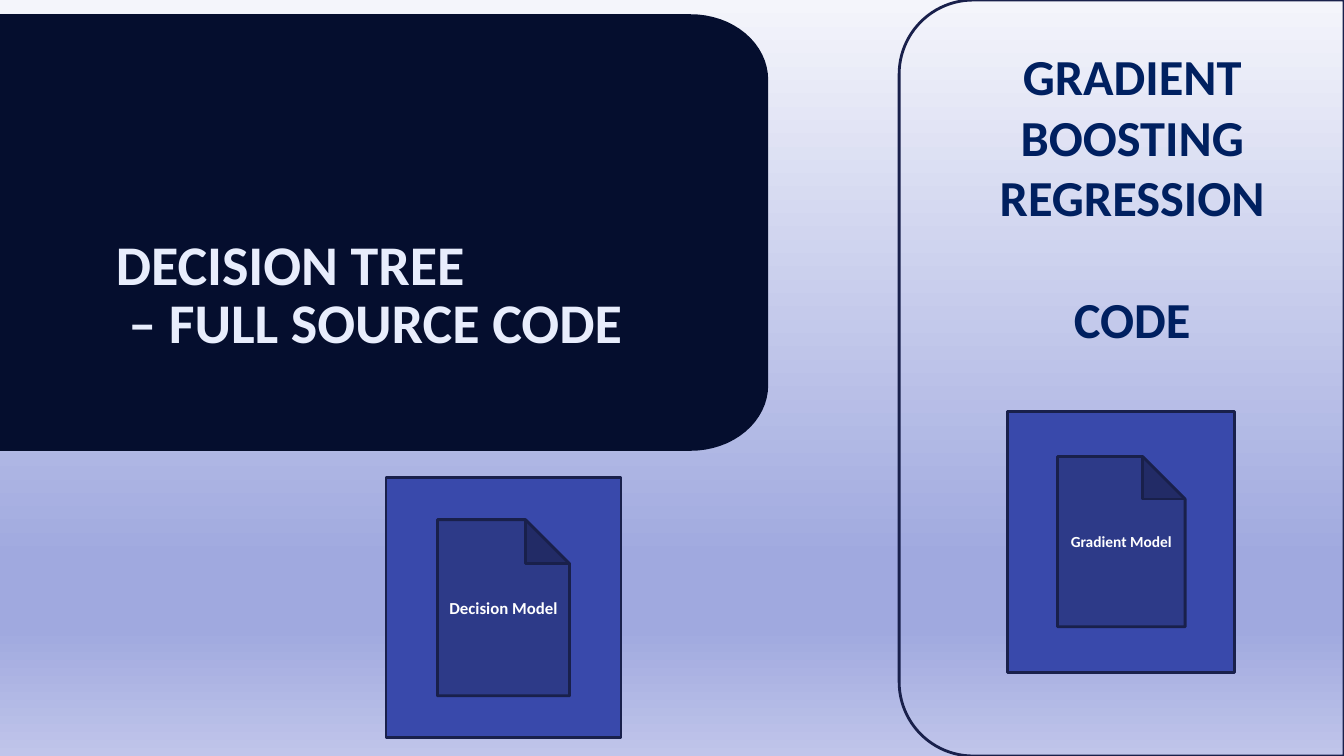
from math import cos, pi, sin

from lxml import etree
from pptx import Presentation
from pptx.dml.color import RGBColor
from pptx.enum.shapes import MSO_SHAPE
from pptx.enum.text import MSO_ANCHOR, PP_ALIGN
from pptx.oxml.ns import qn
from pptx.util import Cm, Pt

NAVY = RGBColor(0x05, 0x0E, 0x2E)
ICE = RGBColor(0xE8, 0xED, 0xFC)
OUTLINE = RGBColor(0x19, 0x20, 0x4B)
HEADING = RGBColor(0x00, 0x20, 0x60)
INDIGO = RGBColor(0x39, 0x49, 0xAB)
WHITE = RGBColor(0xFF, 0xFF, 0xFF)
MIST = RGBColor(0xF4, 0xF5, 0xFB)
LAVENDER = RGBColor(0xA0, 0xA9, 0xDF)
PALE = RGBColor(0xC0, 0xC5, 0xEA)
BACKDROP = [(0, MIST), (74, LAVENDER), (83, LAVENDER), (100, PALE)]


def set_backdrop(s, stops):
    """Fill the slide background with a top-to-bottom gradient."""
    fill = s.background.fill
    fill.gradient()
    fill.gradient_angle = 270
    gs_lst = s.element.find('.//' + qn('a:gsLst'))
    for gs in list(gs_lst):
        gs_lst.remove(gs)
    for pos, color in stops:
        gs = etree.SubElement(gs_lst, qn('a:gs'), pos=str(pos * 1000))
        etree.SubElement(gs, qn('a:srgbClr'), val=str(color))


def style_text(p, size, color, align=PP_ALIGN.CENTER):
    """Apply the bold slide font to a paragraph."""
    p.alignment = align
    p.font.name = 'Calibri'
    p.font.bold = True
    p.font.size = Pt(size)
    p.font.color.rgb = color


def add_text_box(s, x, y, w, h, anchor):
    """Add a wrapping text box without insets and return its text frame."""
    tf = s.shapes.add_textbox(x, y, w, h).text_frame
    tf.word_wrap = True
    tf.vertical_anchor = anchor
    tf.margin_left = tf.margin_right = tf.margin_top = tf.margin_bottom = 0
    return tf


def set_outline(sp):
    """Give a shape the dark outline and no shadow."""
    sp.shadow.inherit = False
    sp.line.color.rgb = OUTLINE
    sp.line.width = Pt(2)


def add_title_panel(s, x, y, w, h, title):
    """Draw the dark rounded panel with the slide title."""
    rx, ry, steps = Cm(1.95), Cm(1.65), 16
    corners = [(x + w - rx, y + ry), (x + w - rx, y + h - ry),
               (x + rx, y + h - ry), (x + rx, y + ry)]
    points = []
    for i, (cx, cy) in enumerate(corners):
        for k in range(steps + 1):
            angle = (i - 1 + k / steps) * pi / 2
            points.append((cx + rx * cos(angle), cy + ry * sin(angle)))
    builder = s.shapes.build_freeform(*points[0])
    builder.add_line_segments(points[1:], close=True)
    sp = builder.convert_to_shape()
    sp.shadow.inherit = False
    sp.fill.solid()
    sp.fill.fore_color.rgb = NAVY
    sp.line.fill.background()

    tf = add_text_box(s, x + Cm(5.1), y + Cm(5.66), w - Cm(5.1), Cm(2.95),
                      MSO_ANCHOR.MIDDLE)
    p = tf.paragraphs[0]
    p.text = title
    p.line_spacing = 0.85
    style_text(p, 40, ICE, PP_ALIGN.LEFT)


def add_side_panel(s, x, y, w, h, lines):
    """Draw the outlined panel rounded on its left, with its heading."""
    sp = s.shapes.add_shape(MSO_SHAPE.ROUND_2_SAME_RECTANGLE,
                            x + (w - h) // 2, y + (h - w) // 2, h, w)
    sp.rotation = 270
    sp.fill.background()
    set_outline(sp)

    tf = add_text_box(s, x + Cm(0.8), y + Cm(1.14), w - Cm(1.06), Cm(7.8),
                      MSO_ANCHOR.TOP)
    for i, line in enumerate(lines):
        p = tf.add_paragraph() if i else tf.paragraphs[0]
        p.text = line
        p.space_before = Pt(44 if i else 0)
        style_text(p, 36, HEADING)


def add_document_button(s, x, y, w, h, label, size):
    """Draw a document button with a centred label."""
    sp = s.shapes.add_shape(MSO_SHAPE.ACTION_BUTTON_DOCUMENT, x, y, w, h)
    sp.fill.solid()
    sp.fill.fore_color.rgb = INDIGO
    set_outline(sp)
    tf = sp.text_frame
    tf.word_wrap = True
    tf.vertical_anchor = MSO_ANCHOR.MIDDLE
    p = tf.paragraphs[0]
    p.text = label
    style_text(p, size, WHITE)


def main():
    """Build and save the slide."""
    prs = Presentation()
    prs.slide_width, prs.slide_height = Cm(33.87), Cm(19.05)
    s = prs.slides.add_slide(prs.slide_layouts[6])
    set_backdrop(s, BACKDROP)
    add_title_panel(s, Cm(-2.18), Cm(0.36), Cm(21.54), Cm(11),
                    'DECISION TREE\v – FULL SOURCE CODE')
    add_side_panel(s, Cm(22.66), 0, Cm(11.21), prs.slide_height,
                   ['GRADIENT BOOSTING REGRESSION', 'CODE'])
    add_document_button(s, Cm(9.73), Cm(12.04), Cm(5.92), Cm(6.55),
                        'Decision Model', 12)
    add_document_button(s, Cm(25.4), Cm(10.36), Cm(5.72), Cm(6.58),
                        'Gradient Model', 11)
    prs.save("out.pptx")


if __name__ == "__main__":
    main()
